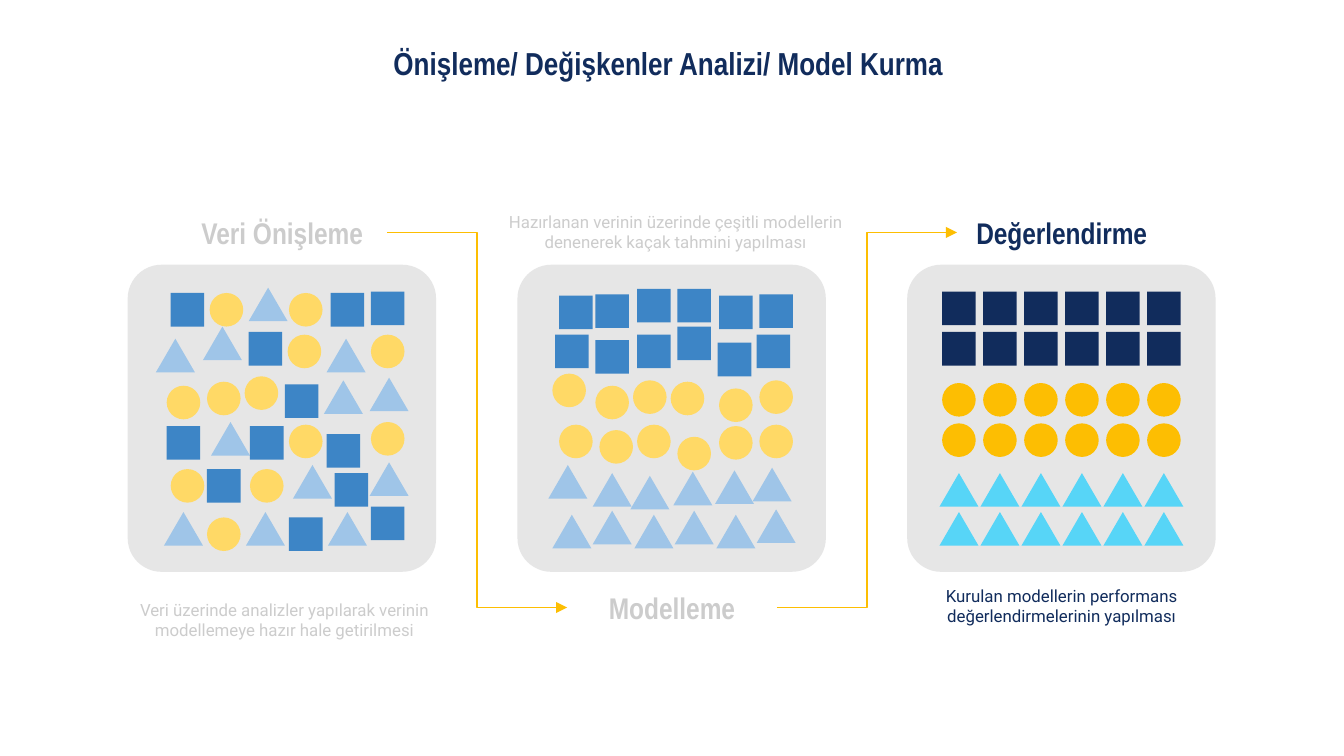
"""Build a slide showing mixed data being sorted by preprocessing, modelling and evaluation."""
from dataclasses import dataclass

import lxml.etree
import pptx
import pptx.dml.color
import pptx.enum.shapes
import pptx.enum.text
import pptx.oxml.ns
import pptx.util

COLUMNS = 1000
ROWS = COLUMNS * 9 / 16
CELL = pptx.util.Inches(0.01)
PANEL_LEFT, PANEL_TOP, PANEL_PITCH = 95, 197, 290
PANEL_WIDTH, PANEL_HEIGHT = 229.5, 228.5
MARK_SIZE, TRIANGLE_OVERHANG = 25, 2
HEADING_FONT, BODY_FONT = "Arial Narrow", "Roboto"

COLORS = {
    "navy": "112C5C", "amber": "FDBE02", "cyan": "57D5F7",
    "blue": "3D85C6", "yellow": "FFD966", "sky": "9FC5E8",
    "panel": "E6E6E6", "muted": "CCCCCC",
}
SHAPES = pptx.enum.shapes.MSO_SHAPE
ANCHORS = pptx.enum.text.MSO_ANCHOR
OUTLINES = {"S": SHAPES.RECTANGLE, "C": SHAPES.OVAL, "T": SHAPES.ISOSCELES_TRIANGLE}
SOFT = {"S": "blue", "C": "yellow", "T": "sky"}
STRONG = {"S": "navy", "C": "amber", "T": "cyan"}


@dataclass(frozen=True)
class Area:
    column: float
    row: float
    width: float
    height: float

    def lengths(self) -> tuple:
        return tuple(round(cells * CELL) for cells in (self.column, self.row, self.width, self.height))


@dataclass(frozen=True)
class Label:
    text: str
    area: Area
    font: str
    size: float
    color: str
    anchor: ANCHORS = ANCHORS.MIDDLE


@dataclass(frozen=True)
class MarkRow:
    kinds: str
    places: tuple


@dataclass(frozen=True)
class Stage:
    heading: str
    heading_row: float
    caption: Label
    color: str
    palette: dict
    mark_rows: tuple


@dataclass(frozen=True)
class Link:
    start: tuple
    end: tuple


MIXED = (
    MarkRow("SCTCSS", ((32, 21), (61, 21), (92, 17), (120, 21), (151, 21), (181, 20))),
    MarkRow("TTSCTC", ((23, 55), (58, 46), (90, 50), (119, 52), (150, 55), (181, 52))),
    MarkRow("CCCSTT", ((29, 90), (59, 87), (87, 83), (117, 89), (148, 86), (182, 84))),
    MarkRow("STSCSC", ((29, 120), (64, 117), (91, 120), (120, 119), (148, 126), (181, 117))),
    MarkRow("CSCTST", ((32, 152), (59, 152), (91, 152), (125, 149), (154, 155), (182, 147))),
    MarkRow("TCTSTS", ((29, 184), (59, 188), (90, 184), (120, 188), (151, 184), (181, 180))),
)
GROUPED = (
    MarkRow("SSSSSS", ((31, 23), (58, 22), (89, 18), (119, 18), (150, 23), (180, 22))),
    MarkRow("SSSSSS", ((28, 52), (58, 56), (89, 52), (119, 46), (149, 58), (178, 52))),
    MarkRow("CCCCCC", ((26, 81), (58, 90), (86, 86), (114, 87), (150, 92), (180, 86))),
    MarkRow("CCCCCC", ((31, 119), (61, 123), (89, 119), (119, 128), (150, 120), (180, 119))),
    MarkRow("TTTTTT", ((25, 149), (58, 155), (86, 157), (118, 154), (149, 153), (177, 151))),
    MarkRow("TTTTTT", ((28, 186), (58, 183), (89, 186), (119, 183), (150, 186), (180, 182))),
)
ALIGNED = tuple(
    MarkRow(kind * 6, tuple((26 + 30.5 * index, row) for index in range(6)))
    for kind, row in zip("SSCCTT", (20, 50, 88, 118, 155, 184))
)

STAGES = (
    Stage("Veri Önişleme", 156,
          Label("Veri üzerinde analizler yapılarak verinin modellemeye hazır hale getirilmesi",
                Area(83, 426, 257, 70), BODY_FONT, 9, "muted"),
          "muted", SOFT, MIXED),
    Stage("Modelleme", 435,
          Label("Hazırlanan verinin üzerinde çeşitli modellerin denenerek kaçak tahmini yapılması",
                Area(368.5, 128.5, 268, 69), BODY_FONT, 9, "muted", ANCHORS.BOTTOM),
          "muted", SOFT, GROUPED),
    Stage("Değerlendirme", 156,
          Label("Kurulan modellerin performans değerlendirmelerinin yapılması",
                Area(675, 426, 229.5, 70), BODY_FONT, 9, "navy", ANCHORS.TOP),
          "navy", STRONG, ALIGNED),
)
LINKS = (Link((288, 173), (422, 452)), Link((578, 452), (712, 173)))
TITLE = Label("Önişleme/ Değişkenler Analizi/ Model Kurma ", Area(0, 15, COLUMNS, 63),
              HEADING_FONT, 17, "navy")


def rgb(name: str) -> pptx.dml.color.RGBColor:
    return pptx.dml.color.RGBColor.from_string(COLORS[name])


def draw_label(page, label: Label) -> None:
    box = page.shapes.add_textbox(*label.area.lengths())
    frame = box.text_frame
    frame.word_wrap = True
    frame.vertical_anchor = label.anchor
    frame.margin_left = frame.margin_right = pptx.util.Inches(0.1)
    frame.margin_top = frame.margin_bottom = pptx.util.Inches(0.1)
    frame.text = label.text
    para = frame.paragraphs[0]
    para.alignment = pptx.enum.text.PP_ALIGN.CENTER
    span = para.runs[0]
    span.font.name = label.font
    span.font.size = pptx.util.Pt(label.size)
    span.font.bold = label.font == HEADING_FONT
    span.font.color.rgb = rgb(label.color)


def draw_shape(page, outline, area: Area, color: str):
    shape = page.shapes.add_shape(outline, *area.lengths())
    shape.shadow.inherit = False
    shape.fill.solid()
    shape.fill.fore_color.rgb = rgb(color)
    shape.line.fill.background()
    return shape


def draw_stage(page, stage: Stage, left: float) -> None:
    panel = draw_shape(page, SHAPES.ROUNDED_RECTANGLE,
                       Area(left, PANEL_TOP, PANEL_WIDTH, PANEL_HEIGHT), "panel")
    panel.adjustments[0] = 0.11
    draw_label(page, Label(stage.heading, Area(left + 37.5, stage.heading_row, 155, 34),
                           HEADING_FONT, 16, stage.color))
    draw_label(page, stage.caption)
    for mark_row in stage.mark_rows:
        for kind, (column, row) in zip(mark_row.kinds, mark_row.places):
            overhang = TRIANGLE_OVERHANG if kind == "T" else 0
            area = Area(left + column - overhang, PANEL_TOP + row,
                        MARK_SIZE + 2 * overhang, MARK_SIZE)
            draw_shape(page, OUTLINES[kind], area, stage.palette[kind])


def draw_link(page, link: Link) -> None:
    points = [cells * CELL for cells in (*link.start, *link.end)]
    connector = page.shapes.add_connector(pptx.enum.shapes.MSO_CONNECTOR.ELBOW, *points)
    connector.line.color.rgb = rgb("amber")
    connector.line.width = pptx.util.Pt(0.75)
    qn = pptx.oxml.ns.qn
    lxml.etree.SubElement(connector.get_or_add_ln(), qn("a:tailEnd"), type="triangle")
    lxml.etree.SubElement(connector.element.spPr, qn("a:effectLst"))


def main() -> None:
    deck = pptx.Presentation()
    deck.slide_width, deck.slide_height = COLUMNS * CELL, round(ROWS * CELL)
    page = deck.slides.add_slide(deck.slide_layouts[6])
    for link in LINKS:
        draw_link(page, link)
    for index, stage in enumerate(STAGES):
        draw_stage(page, stage, PANEL_LEFT + index * PANEL_PITCH)
    draw_label(page, TITLE)
    deck.save("out.pptx")


if __name__ == "__main__":
    main()
